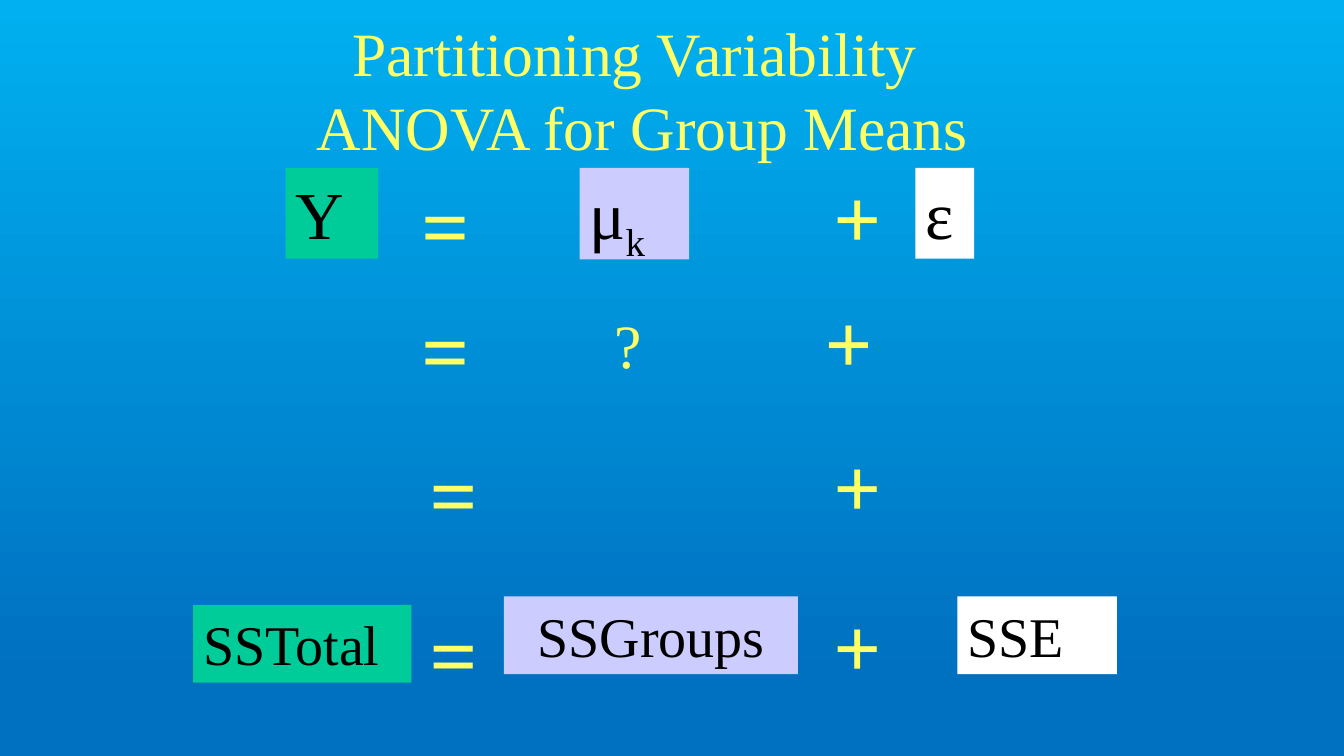
"""Build the ANOVA variability slide."""
from dataclasses import dataclass
from typing import Optional

from pptx import Presentation
from pptx.dml.color import RGBColor
from pptx.enum.shapes import MSO_SHAPE
from pptx.enum.text import MSO_ANCHOR, MSO_AUTO_SIZE, PP_ALIGN
from pptx.util import Cm, Pt

FONT = "Times New Roman"
COLORS = {
    "sky": "00B0F0",
    "blue": "0070C0",
    "yellow": "FFFF66",
    "green": "00CC99",
    "lilac": "CCCCFF",
    "white": "FFFFFF",
    "black": "000000",
}


@dataclass
class Term:
    """A text of the equations, with an optional filled box."""
    text: str
    left: float
    top: float
    width: float
    height: float
    size: int
    fill: Optional[str] = None
    sub: str = ""
    bold: bool = False
    align: PP_ALIGN = PP_ALIGN.LEFT


def operator(text: str, left: float, top: float) -> Term:
    """Return a large bold operator."""
    return Term(text, left, top, 1.91, 2.79, 60, bold=True)


def rgb(name: str) -> RGBColor:
    """Look up a named colour."""
    return RGBColor.from_string(COLORS[name])


def add_run(p, text: str, size: int, color: str, bold: bool = False):
    """Add a formatted run to a paragraph."""
    r = p.add_run()
    r.text = text
    r.font.name = FONT
    r.font.size = Pt(size)
    r.font.bold = bold
    r.font.color.rgb = rgb(color)
    return r


def add_title(s, lines: list[str]) -> None:
    """Place and fill the title placeholder."""
    sp = s.shapes.title
    sp.left, sp.top, sp.width, sp.height = Cm(5.93), Cm(0.64), Cm(20.53), Cm(3.18)
    tf = sp.text_frame
    tf.auto_size = MSO_AUTO_SIZE.NONE
    tf.vertical_anchor = MSO_ANCHOR.MIDDLE
    p = tf.paragraphs[0]
    p.alignment = PP_ALIGN.CENTER
    for i, line in enumerate(lines):
        if i:
            p.add_line_break()
        add_run(p, line, 44, "yellow")


def add_term(s, term: Term) -> None:
    """Draw one term or operator."""
    box = Cm(term.left), Cm(term.top), Cm(term.width), Cm(term.height)
    if term.fill:
        sp = s.shapes.add_shape(MSO_SHAPE.RECTANGLE, *box)
        sp.shadow.inherit = False
        sp.fill.solid()
        sp.fill.fore_color.rgb = rgb(term.fill)
        sp.line.fill.background()
    else:
        sp = s.shapes.add_textbox(*box)
    tf = sp.text_frame
    tf.word_wrap = True
    tf.auto_size = MSO_AUTO_SIZE.SHAPE_TO_FIT_TEXT
    tf.vertical_anchor = MSO_ANCHOR.TOP
    p = tf.paragraphs[0]
    p.alignment = term.align
    color = "black" if term.fill else "yellow"
    add_run(p, term.text, term.size, color, term.bold)
    if term.sub:
        r = add_run(p, term.sub, term.size, color, term.bold)
        r.font._element.set("baseline", "-25000")


TERMS = [
    Term("Y", 7.2, 4.23, 2.33, 2.29, 48, "green"),
    Term("μ", 14.61, 4.23, 2.76, 2.31, 48, "lilac", sub="k"),
    Term("ε", 23.07, 4.23, 1.48, 2.29, 48, "white"),
    Term("?", 15.24, 7.62, 2.11, 2.13, 44),
    Term("SSTotal", 4.87, 15.24, 5.5, 1.96, 40, "green"),
    Term("SSGroups", 12.7, 15.03, 7.41, 1.96, 40, "lilac", align=PP_ALIGN.CENTER),
    Term("SSE", 24.13, 15.03, 4.02, 1.96, 40, "white"),
]
OPERATOR_ROWS = [
    (10.37, 20.75, 4.23),
    (10.37, 20.53, 7.37),
    (10.58, 20.75, 11.01),
    (10.58, 20.75, 15.03),
]
PLUS_RISE = 0.21


def main() -> None:
    """Build and save the slide."""
    prs = Presentation()
    prs.slide_width, prs.slide_height = Cm(33.87), Cm(19.05)
    s = prs.slides.add_slide(prs.slide_layouts[5])
    fill = s.background.fill
    fill.gradient()
    fill.gradient_angle = 270
    for stop, (name, position) in zip(fill.gradient_stops, [("sky", 0), ("blue", 0.9)]):
        stop.color.rgb = rgb(name)
        stop.position = position

    add_title(s, ["Partitioning Variability ", "ANOVA for Group Means"])
    for term in TERMS:
        add_term(s, term)
    for equals_left, plus_left, top in OPERATOR_ROWS:
        add_term(s, operator("=", equals_left, top))
        add_term(s, operator("+", plus_left, top - PLUS_RISE))
    prs.save("out.pptx")


if __name__ == "__main__":
    main()
